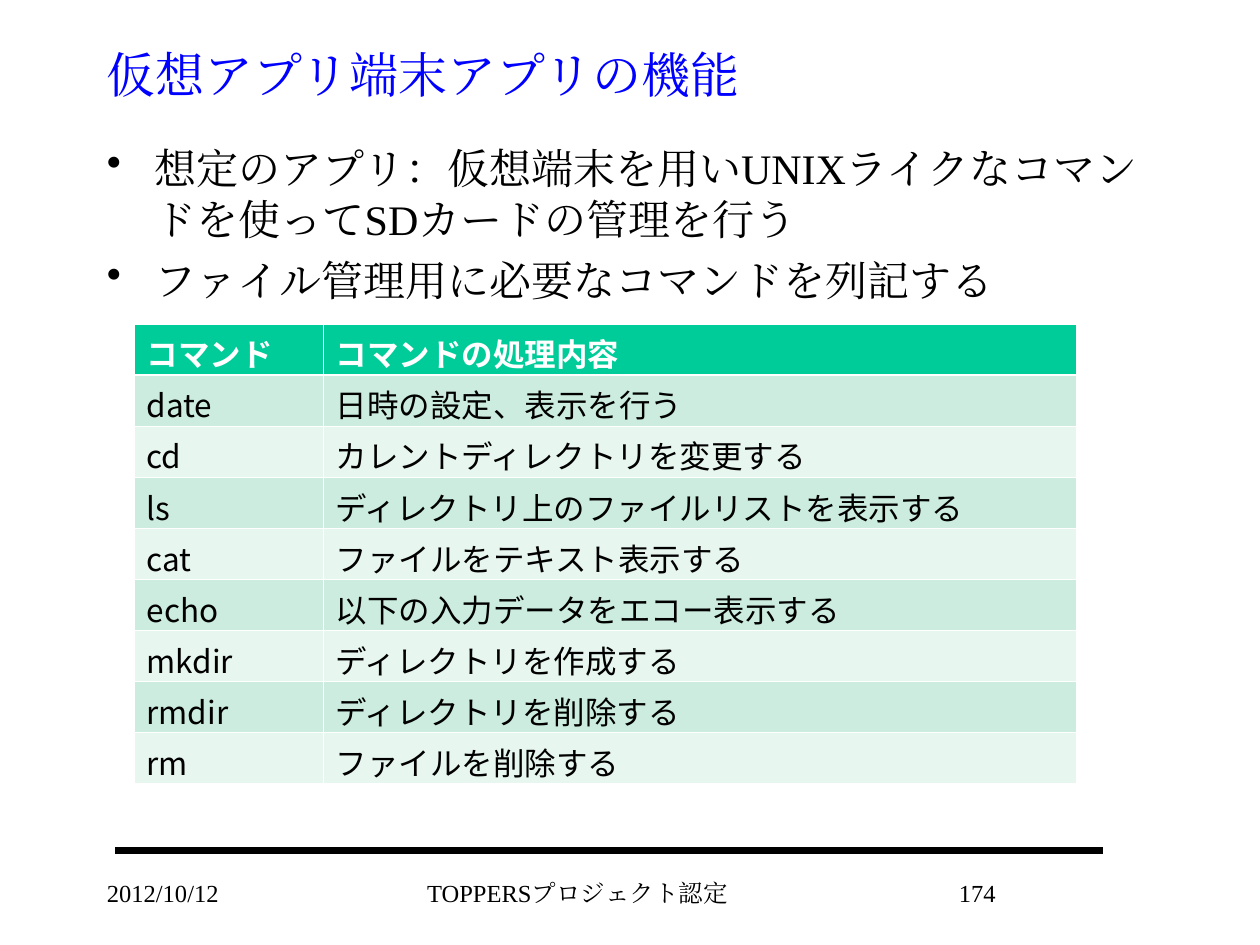
from dataclasses import dataclass

from lxml import etree
from pptx import Presentation
from pptx.dml.color import RGBColor
from pptx.enum.shapes import MSO_CONNECTOR
from pptx.enum.text import MSO_ANCHOR, PP_ALIGN
from pptx.oxml.ns import qn
from pptx.util import Emu, Inches, Pt

LEFT, CENTER, RIGHT = PP_ALIGN.LEFT, PP_ALIGN.CENTER, PP_ALIGN.RIGHT
TOP, MIDDLE = MSO_ANCHOR.TOP, MSO_ANCHOR.MIDDLE
STRAIGHT = MSO_CONNECTOR.STRAIGHT

# The slide is a grid of 120 columns by 90 rows
COLUMNS, ROWS = 120, 90
SLIDE_WIDTH, SLIDE_HEIGHT = Inches(10), Inches(7.5)


@dataclass(frozen=True)
class Theme:
    serif: str = "Times New Roman"
    sans: str = "Noto Sans CJK JP"
    title: str = "0000FF"
    ink: str = "000000"
    paper: str = "FFFFFF"
    header: str = "00CC99"
    bands: tuple[str, str] = ("CBECDE", "E7F6EF")
    title_size: float = 28
    body_size: float = 24
    table_size: float = 18
    footer_size: float = 14
    rule: float = 4.5
    border: float = 0.45
    header_border: float = 1.47


THEME = Theme()


@dataclass(frozen=True)
class TextBlock:
    column: float
    row: float
    width: float
    height: float
    lines: tuple[str, ...]
    size: float
    color: str = THEME.ink
    align: PP_ALIGN = LEFT
    anchor: MSO_ANCHOR = TOP
    bulleted: bool = False


@dataclass(frozen=True)
class Command:
    name: str
    action: str


TEXT_BLOCKS = (
    TextBlock(9, 4, 102, 6, ("仮想アプリ端末アプリの機能",),
              THEME.title_size, THEME.title, anchor=MIDDLE),
    TextBlock(9, 13, 102, 18,
              ("想定のアプリ：仮想端末を用いUNIXライクなコマンドを使ってSDカードの管理を行う",
               "ファイル管理用に必要なコマンドを列記する"),
              THEME.body_size, bulleted=True),
    TextBlock(36, 83, 38, 4, ("TOPPERSプロジェクト認定",), THEME.footer_size, align=CENTER),
    TextBlock(82, 83, 14, 4, ("174",), THEME.footer_size, align=RIGHT),
    TextBlock(9, 83, 25, 5, ("2012/10/12",), THEME.footer_size),
)

COMMANDS = (
    Command("コマンド", "コマンドの処理内容"),
    Command("date", "日時の設定、表示を行う"),
    Command("cd", "カレントディレクトリを変更する"),
    Command("ls", "ディレクトリ上のファイルリストを表示する"),
    Command("cat", "ファイルをテキスト表示する"),
    Command("echo", "以下の入力データをエコー表示する"),
    Command("mkdir", "ディレクトリを作成する"),
    Command("rmdir", "ディレクトリを削除する"),
    Command("rm", "ファイルを削除する"),
)


def across(columns: float) -> Emu:
    return Emu(round(SLIDE_WIDTH * columns / COLUMNS))


def down(rows: float) -> Emu:
    return Emu(round(SLIDE_HEIGHT * rows / ROWS))


def style(paragraph, face: str, size: float, color: str, bold: bool = False) -> None:
    font = paragraph.font
    font.name, font.size, font.bold = face, Pt(size), bold
    font.color.rgb = RGBColor.from_string(color)
    # East Asian characters take the same face
    latin = paragraph._p.pPr.find(qn("a:defRPr")).find(qn("a:latin"))
    east_asian = etree.Element(qn("a:ea"), typeface=face)
    latin.addnext(east_asian)


def add_bullet(paragraph) -> None:
    properties = paragraph._p.get_or_add_pPr()
    indent = Inches(0.38)
    properties.set("marL", str(indent))
    properties.set("indent", str(-indent))
    etree.SubElement(properties, qn("a:buChar"), char="•")


def draw_text(slide, block: TextBlock) -> None:
    frame = slide.shapes.add_textbox(
        across(block.column), down(block.row),
        across(block.width), down(block.height)).text_frame
    frame.word_wrap = True
    frame.vertical_anchor = block.anchor
    frame.text = "\n".join(block.lines)
    for index, paragraph in enumerate(frame.paragraphs):
        if block.bulleted:
            add_bullet(paragraph)
        paragraph.alignment = block.align
        if index:
            paragraph.space_before = Pt(6)
        style(paragraph, THEME.serif, block.size, block.color)


def draw_rule(slide) -> None:
    rule = slide.shapes.add_connector(
        STRAIGHT, across(11), down(81), across(105), down(81))
    rule.line.color.rgb = RGBColor.from_string(THEME.ink)
    rule.line.width = Pt(THEME.rule)
    etree.SubElement(rule._element.spPr, qn("a:effectLst"))


def set_borders(cell, top: float, bottom: float) -> None:
    properties = cell._tc.get_or_add_tcPr()
    widths = {"L": THEME.border, "R": THEME.border, "T": top, "B": bottom}
    for position, (side, width) in enumerate(widths.items()):
        border = etree.Element(qn(f"a:ln{side}"), w=str(Pt(width)))
        fill = etree.SubElement(border, qn("a:solidFill"))
        etree.SubElement(fill, qn("a:srgbClr"), val=THEME.paper)
        properties.insert(position, border)


def draw_commands(slide, commands: tuple[Command, ...]) -> None:
    widths = (across(18), across(71.76))
    table = slide.shapes.add_table(
        len(commands), len(widths), across(12.76), down(30.85),
        sum(widths), down(43.8)).table
    for column, width in zip(table.columns, widths):
        column.width = width
    for index, command in enumerate(commands):
        header = index == 0
        fill = THEME.header if header else THEME.bands[(index - 1) % 2]
        top = THEME.header_border if index == 1 else THEME.border
        bottom = THEME.header_border if header else THEME.border
        for column, text in enumerate((command.name, command.action)):
            cell = table.cell(index, column)
            cell.text = text
            cell.fill.solid()
            cell.fill.fore_color.rgb = RGBColor.from_string(fill)
            set_borders(cell, top, bottom)
            style(cell.text_frame.paragraphs[0], THEME.sans, THEME.table_size,
                  THEME.paper if header else THEME.ink, bold=header)


def main() -> None:
    presentation = Presentation()
    presentation.slide_width, presentation.slide_height = SLIDE_WIDTH, SLIDE_HEIGHT
    slide = presentation.slides.add_slide(presentation.slide_layouts[6])

    # Footer rule lies behind the table
    draw_rule(slide)

    # Title, bullets and footer
    for block in TEXT_BLOCKS:
        draw_text(slide, block)

    # Command list
    draw_commands(slide, COMMANDS)

    presentation.save("out.pptx")


if __name__ == "__main__":
    main()
